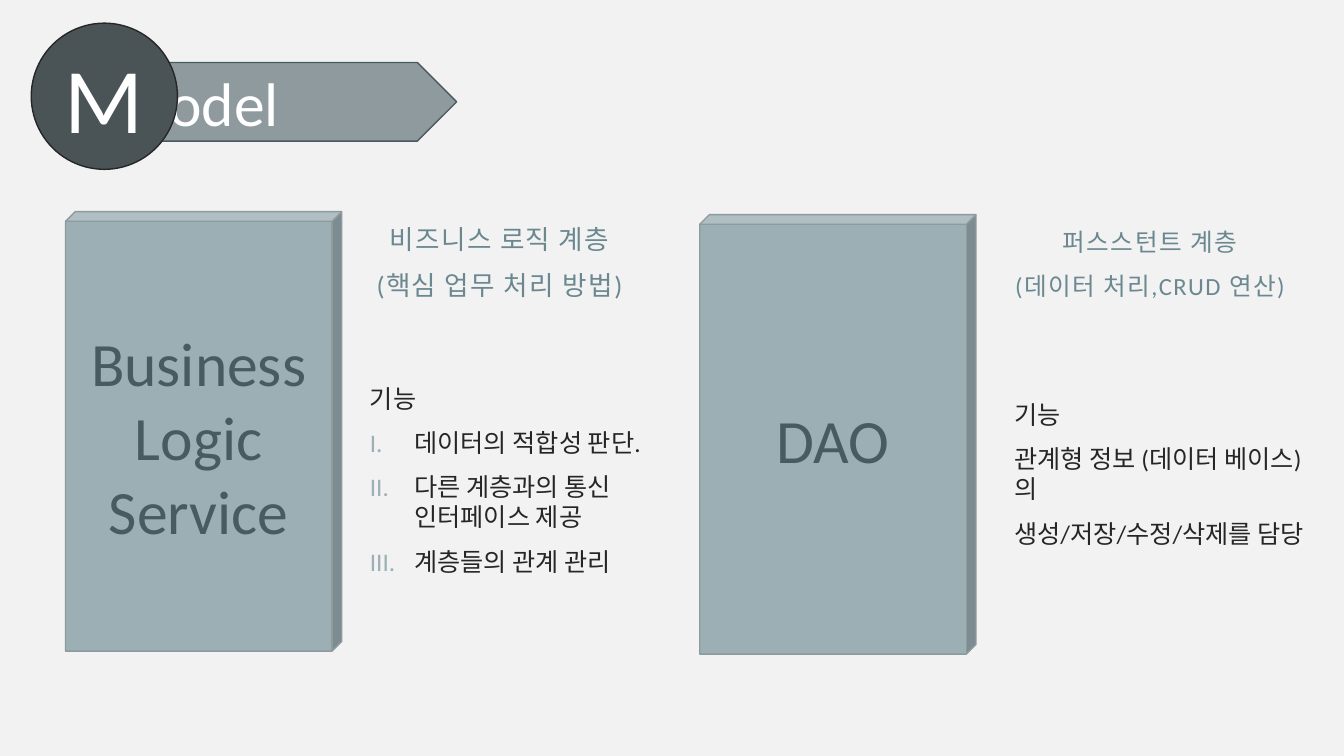
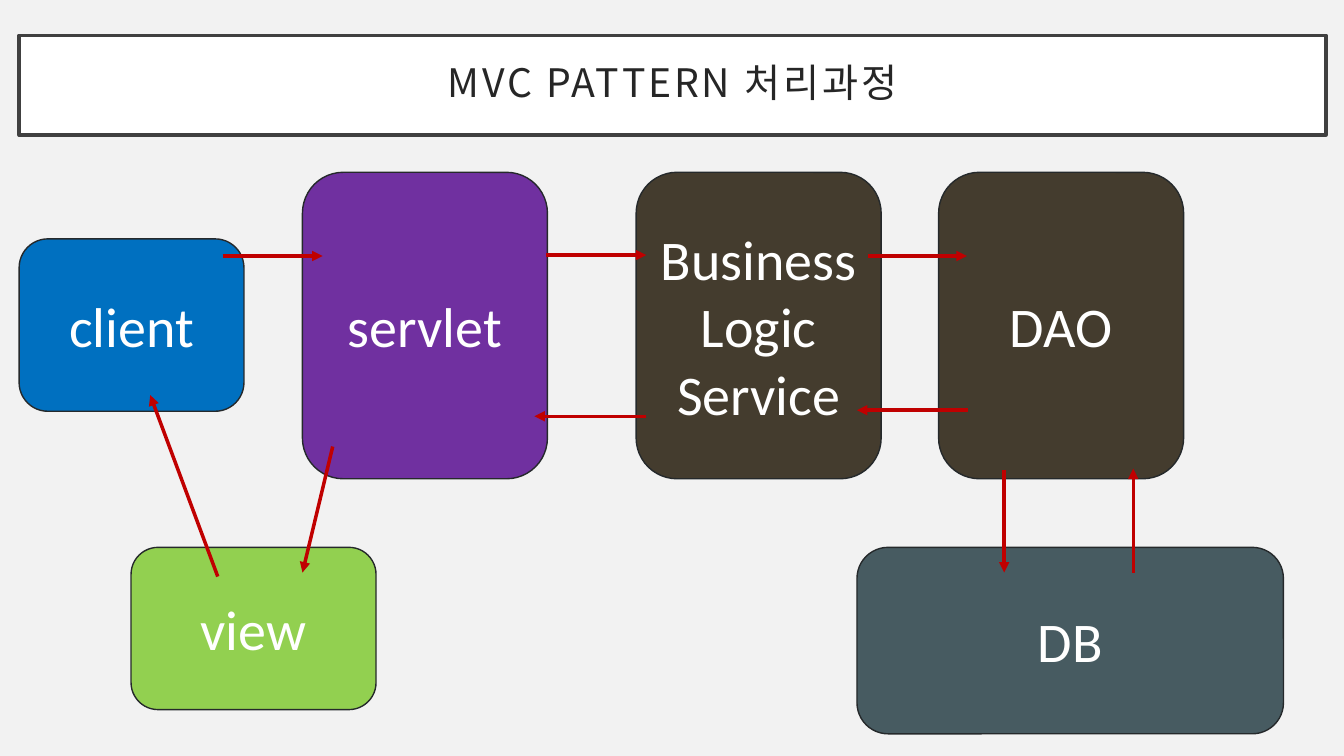
from dataclasses import dataclass

from lxml import etree
from pptx import Presentation
from pptx import util as u
from pptx.dml import color
from pptx.enum import shapes, text
from pptx.oxml import ns

EMU_PER_PX = 9144
WHITE, INK, SLATE, STEEL, MIST = "FFFFFF", "262626", "475B61", "8E9A9E", "9BAFB5"
TEAL, ARROW_RED, BACKGROUND = "6B8891", "C00000", "F2F2F2"
LATIN, KOREAN = "Calibri", "Noto Sans CJK KR"
CENTER, LEFT = text.PP_ALIGN.CENTER, text.PP_ALIGN.LEFT
TOP, MIDDLE, BOTTOM = (text.MSO_ANCHOR.TOP, text.MSO_ANCHOR.MIDDLE,
                       text.MSO_ANCHOR.BOTTOM)
PRESET = shapes.MSO_SHAPE


@dataclass(frozen=True)
class Area:
    left: int
    top: int
    width: int
    height: int

    def emu(self) -> list[u.Emu]:
        return [px(n) for n in (self.left, self.top, self.width, self.height)]


@dataclass(frozen=True)
class TextStyle:
    size: float
    color: str
    font: str = LATIN
    align: text.PP_ALIGN = CENTER
    anchor: text.MSO_ANCHOR = MIDDLE
    tracking: int = 0
    space_before: int = 0
    line_spacing: float = 1.0


@dataclass(frozen=True)
class Block:
    area: Area
    lines: tuple[str, ...]
    fill: str
    outline: str
    style: TextStyle
    preset: PRESET = PRESET.FLOWCHART_ALTERNATE_PROCESS
    depth: float | None = None
    inset_left: int = 10


@dataclass(frozen=True)
class Note:
    area: Area
    lines: tuple[str, ...]
    style: TextStyle
    numbered: tuple[int, ...] = ()


@dataclass(frozen=True)
class Arrow:
    start: tuple[int, int]
    end: tuple[int, int]


LAYER = TextStyle(44, SLATE)
NODE = TextStyle(40, WHITE)
BODY = TextStyle(18, INK, align=LEFT, anchor=TOP, space_before=10)
TITLE = TextStyle(28, INK, font=KOREAN, tracking=200, line_spacing=0.9)


def heading(size: float) -> TextStyle:
    return TextStyle(size, TEAL, anchor=BOTTOM, tracking=100, space_before=10)


def layer(left: int, top: int, *lines: str) -> Block:
    return Block(Area(left, top, 274, 436), lines, MIST, STEEL, LAYER,
                 PRESET.CUBE, 0.035)


def node(area: Area, fill: str, *lines: str) -> Block:
    return Block(area, lines, fill, "25292B", NODE)


def stage(left: int, fill: str, *lines: str) -> Block:
    return node(Area(left, 171, 243, 304), fill, *lines)


MODEL_BLOCKS = (
    Block(Area(103, 62, 350, 78), ("odel",), STEEL, SLATE,
          TextStyle(44, WHITE, align=LEFT), PRESET.PENTAGON, inset_left=65),
    Block(Area(31, 23, 145, 145), ("M",), "4A5356", INK,
          TextStyle(66, WHITE), PRESET.OVAL),
    layer(65, 210, "Business", "Logic", "Service"),
    layer(694, 213, "DAO"),
)
MODEL_NOTES = (
    Note(Area(351, 213, 289, 90),
         ("비즈니스 로직 계층", "(핵심 업무 처리 방법)"), heading(19)),
    Note(Area(357, 375, 289, 330),
         ("기능", "데이터의 적합성 판단.", "다른 계층과의 통신 인터페이스 제공",
          "계층들의 관계 관리"), BODY, numbered=(1, 2, 3)),
    Note(Area(996, 213, 289, 90),
         ("퍼스스턴트 계층", "(데이터 처리,CRUD 연산)"), heading(17.6)),
    Note(Area(996, 391, 309, 149),
         ("기능", "관계형 정보 (데이터 베이스)의", "생성/저장/수정/삭제를 담당"), BODY),
)
PATTERN_BLOCKS = (
    node(Area(19, 237, 223, 171), "0070C0", "client"),
    stage(300, "7030A0", "servlet"),
    stage(631, "443C2E", "Business", "Logic", "Service"),
    stage(931, "443C2E", "DAO"),
    node(Area(130, 543, 243, 161), "92D050", "view"),
    node(Area(850, 543, 423, 185), SLATE, "DB"),
)
PATTERN_ARROWS = (
    Arrow((221, 254), (320, 254)),
    Arrow((542, 253), (641, 253)),
    Arrow((861, 254), (959, 254)),
    Arrow((996, 466), (996, 568)),
    Arrow((1124, 568), (1124, 465)),
    Arrow((960, 407), (850, 407)),
    Arrow((641, 413), (530, 413)),
    Arrow((330, 443), (300, 568)),
    Arrow((216, 572), (149, 392)),
)


def px(length: int) -> u.Emu:
    return u.Emu(length * EMU_PER_PX)


def rgb(value: str) -> color.RGBColor:
    return color.RGBColor.from_string(value)


def apply(target, values: dict) -> None:
    for name, value in values.items():
        setattr(target, name, value)


def add_element(parent, tag: str, **attributes: str):
    return etree.SubElement(parent, ns.qn(tag), attributes)


def paint(shape, fill: str, outline: str, width: float) -> None:
    shape.fill.solid()
    shape.fill.fore_color.rgb = rgb(fill)
    shape.line.color.rgb = rgb(outline)
    shape.line.width = u.Pt(width)


def number_paragraph(paragraph) -> None:
    properties = paragraph._p.get_or_add_pPr()
    properties.set("marL", str(px(44)))
    properties.set("indent", str(-px(44)))
    bullet_color = add_element(properties, "a:buClr")
    add_element(bullet_color, "a:srgbClr", val=MIST)
    add_element(properties, "a:buFont", typeface="+mj-lt")
    add_element(properties, "a:buAutoNum", type="romanUcPeriod")


def write(shape, lines: tuple[str, ...], style: TextStyle,
          numbered: tuple[int, ...] = (), **margins: u.Emu) -> None:
    frame = shape.text_frame
    apply(frame, {"word_wrap": True, "auto_size": text.MSO_AUTO_SIZE.NONE,
                  "vertical_anchor": style.anchor, **margins})
    for index, line in enumerate(lines):
        paragraph = frame.add_paragraph() if index else frame.paragraphs[0]
        apply(paragraph, {
            "alignment": style.align,
            "line_spacing": style.line_spacing,
            "space_before": u.Pt(style.space_before if index else 0),
        })
        if index in numbered:
            number_paragraph(paragraph)
        run = paragraph.add_run()
        run.text = line
        apply(run.font, {"size": u.Pt(style.size), "name": style.font})
        run.font.color.rgb = rgb(style.color)
        properties = run._r.get_or_add_rPr()
        properties.set("spc", str(style.tracking))
        add_element(properties, "a:ea", typeface=style.font)


def draw_block(slide, block: Block) -> None:
    shape = slide.shapes.add_shape(block.preset, *block.area.emu())
    shape.shadow.inherit = False
    if block.depth is not None:
        shape.adjustments[0] = block.depth
    paint(shape, block.fill, block.outline, 1)
    write(shape, block.lines, block.style, margin_left=px(block.inset_left))


def draw_note(slide, note: Note) -> None:
    shape = slide.shapes.add_textbox(*note.area.emu())
    write(shape, note.lines, note.style, note.numbered)


def draw_arrow(slide, arrow: Arrow) -> None:
    points = [px(n) for n in (*arrow.start, *arrow.end)]
    connector = slide.shapes.add_connector(shapes.MSO_CONNECTOR.STRAIGHT, *points)
    connector.line.color.rgb = rgb(ARROW_RED)
    connector.line.width = u.Pt(2.5)
    add_element(connector.line._get_or_add_ln(), "a:tailEnd", type="triangle")
    add_element(connector._element.spPr, "a:effectLst")


def draw_title(slide, title: str) -> None:
    shape = slide.shapes.title
    area = Area(19, 35, 1296, 99).emu()
    apply(shape, dict(zip(("left", "top", "width", "height"), area)))
    paint(shape, WHITE, "404040", 2.5)
    margins = {f"margin_{side}": px(20)
               for side in ("left", "top", "right", "bottom")}
    write(shape, (title,), TITLE, **margins)


def build_model(presentation) -> None:
    slide = presentation.slides.add_slide(presentation.slide_layouts[6])
    for block in MODEL_BLOCKS:
        draw_block(slide, block)
    for note in MODEL_NOTES:
        draw_note(slide, note)


def build_pattern(presentation) -> None:
    slide = presentation.slides.add_slide(presentation.slide_layouts[5])
    draw_title(slide, "MVC PATTERN 처리과정")
    for block in PATTERN_BLOCKS:
        draw_block(slide, block)
    for arrow in PATTERN_ARROWS:
        draw_arrow(slide, arrow)


def main() -> None:
    presentation = Presentation()
    apply(presentation, {"slide_width": px(1333), "slide_height": px(750)})
    background = presentation.slide_master.background.fill
    background.solid()
    background.fore_color.rgb = rgb(BACKGROUND)
    build_model(presentation)
    build_pattern(presentation)
    presentation.save("out.pptx")


if __name__ == "__main__":
    main()
